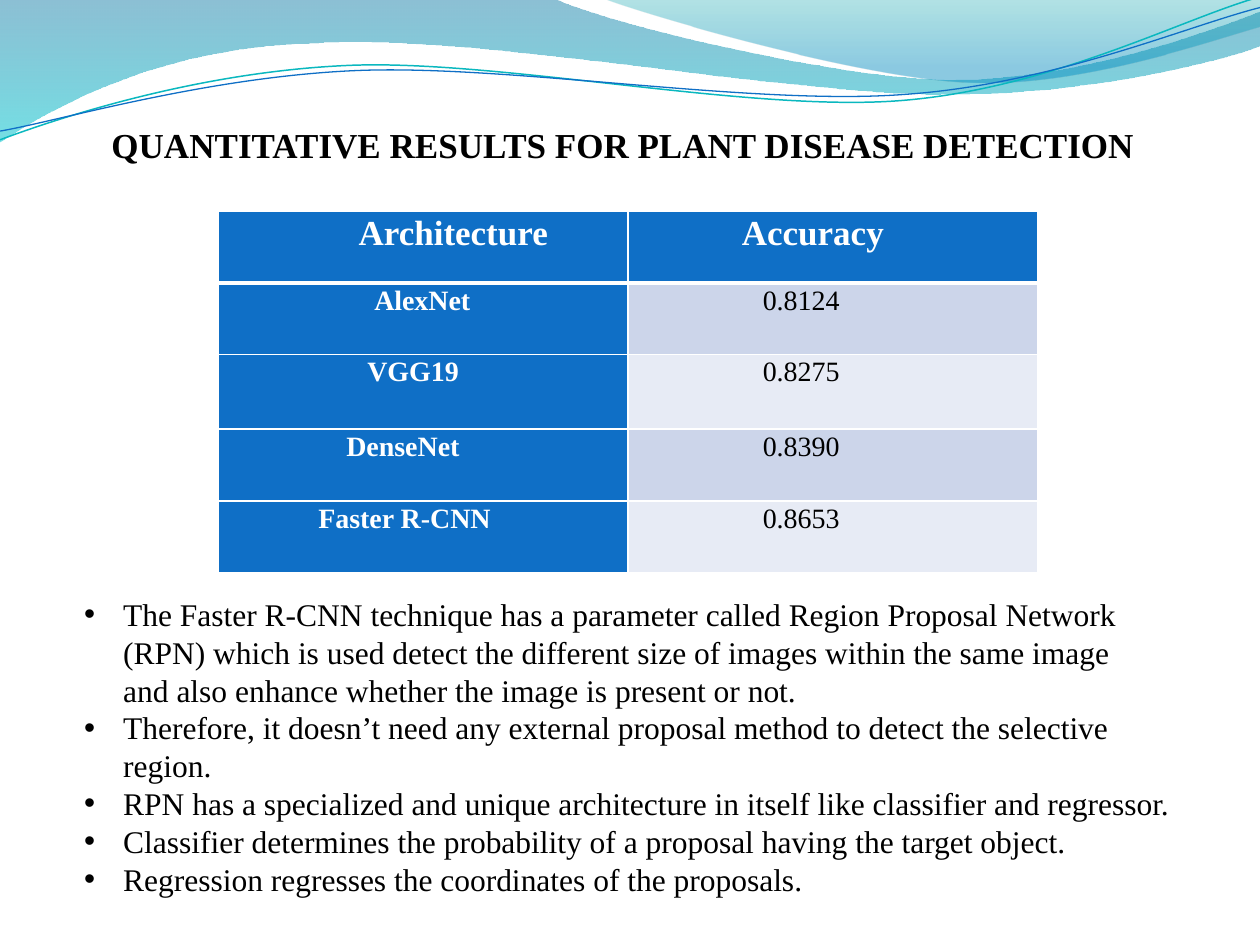
from dataclasses import dataclass

from lxml import etree
from pptx import Presentation
from pptx import util as u
from pptx.dml.color import RGBColor
from pptx.enum import text
from pptx.oxml.ns import qn


@dataclass(frozen=True)
class Theme:
    font: str = "Times New Roman"
    ink: str = "000000"
    paper: str = "FFFFFF"
    accent: str = "0F6FC6"
    teal: str = "0AB8BF"
    bands: tuple = ("CCD5EA", "E7EBF5")
    large_wave: tuple = ((0, "0074A1", 45), (1, "00C6CF", 55))
    small_wave: tuple = ((0, "00A1A9", 30), (0.8, "008BBF", 45))
    heading: int = 20
    body: int = 18
    cell: int = 16


LARGE_WAVE = [
    (0, 0), (316.8, -0.7),
    (342.7, 12.2, 478.1, 45.4, 545.8, 45.4),
    (614.2, 45.4, 689.8, 18.7, 720, 6.5),
    (720.7, 25.9),
    (707.8, 31.7, 626.4, 54.7, 537.1, 54),
    (447.8, 54, 275, 20.2, 185, 24.5),
    (92.9, 25.9, 33.1, 59.8, -0.7, 81.4),
]
SMALL_WAVE = [
    (344.9, -0.7),
    (366.5, 7.9, 491, 44.6, 553.7, 46.8),
    (616.3, 49.7, 691.9, 23, 720, 15.1),
    (720, 0),
]
TEAL_LINE = [
    (0, 79.9),
    (34.6, 67, 113.8, 41, 199.4, 37.4),
    (284.4, 33.8, 427, 64.1, 513.4, 57.6),
    (599.8, 51.1, 675.4, 10.8, 718.6, -1.4),
]
BLUE_LINE = [
    (0, 74.9),
    (33.8, 69.1, 118.1, 43.9, 203.8, 40.3),
    (290.2, 36.7, 429.8, 60.5, 516.2, 54),
    (601.9, 48.2, 677.5, 15.1, 720, 4.3),
]
RESULTS = [
    [("Architecture", 75), ("Accuracy", 60)],
    [("AlexNet", 84), ("0.8124", 72)],
    [("VGG19", 80), ("0.8275", 72)],
    [("DenseNet", 68), ("0.8390", 72)],
    [("Faster R-CNN", 52), ("0.8653", 72)],
]
FINDINGS = [
    "The Faster R-CNN technique has a parameter called Region Proposal Network\v"
    "(RPN) which is used detect the different size of images within the same image\v"
    "and also enhance whether the image is present or not.",
    "Therefore, it doesn’t need any external proposal method to detect the selective\vregion.",
    "RPN has a specialized and unique architecture in itself like classifier and regressor.",
    "Classifier determines the probability of a proposal having the target object.",
    "Regression regresses the coordinates of the proposals.",
]


class Deck:
    """Builds slide elements in one shared style."""

    def __init__(self, prs, theme):
        self.theme = theme
        self.s = prs.slides.add_slide(prs.slide_layouts[1])

    def outline(self, path, close):
        ends = [(u.Pt(segment[-2]), u.Pt(segment[-1])) for segment in path]
        builder = self.s.shapes.build_freeform(*ends[0])
        builder.add_line_segments(ends[1:], close=close)
        sp = builder.convert_to_shape()
        sp.shadow.inherit = False
        for node, segment in zip(list(sp._element.iter(qn("a:lnTo"))), path[1:]):
            if len(segment) == 6:
                self.bend(node, segment[:4], sp.left, sp.top)
        return sp

    def bend(self, node, controls, left, top):
        node.tag = qn("a:cubicBezTo")
        for i in (0, 2):
            pt = etree.Element(qn("a:pt"))
            pt.set("x", str(u.Pt(controls[i]) - left))
            pt.set("y", str(u.Pt(controls[i + 1]) - top))
            node.insert(i // 2, pt)

    def wave(self, path, stops):
        sp = self.outline(path, True)
        sp.line.fill.background()
        sp.fill.gradient()
        sp.fill.gradient_angle = 270
        for stop, (position, color, _) in zip(sp.fill.gradient_stops, stops):
            stop.position = position
            stop.color.rgb = RGBColor.from_string(color)
        for node, (_, _, opacity) in zip(sp._element.iter(qn("a:srgbClr")), stops):
            etree.SubElement(node, qn("a:alpha")).set("val", str(opacity * 1000))

    def curve(self, path, color, width):
        sp = self.outline(path, False)
        sp.fill.background()
        sp.line.color.rgb = RGBColor.from_string(color)
        sp.line.width = u.Pt(width)

    def style(self, p, size, color, bold=False, left=0, hanging=0):
        p.font.name, p.font.size, p.font.bold = self.theme.font, u.Pt(size), bold
        p.font.color.rgb = RGBColor.from_string(color)
        p.alignment = text.PP_ALIGN.LEFT
        p.space_before = u.Pt(0)
        pPr = p._p.get_or_add_pPr()
        pPr.set("marL", str(u.Pt(left)))
        pPr.set("indent", str(-u.Pt(hanging)))

    def place(self, sp, box):
        sp.left, sp.top, sp.width, sp.height = map(u.Pt, box)
        self.s.shapes._spTree.append(sp._element)
        tf = sp.text_frame
        tf.vertical_anchor = text.MSO_ANCHOR.TOP
        tf.auto_size = text.MSO_AUTO_SIZE.NONE
        tf.word_wrap = True
        return tf

    def title(self, wording, box):
        tf = self.place(self.s.shapes.title, box)
        tf.text = wording
        self.style(tf.paragraphs[0], self.theme.heading, self.theme.ink, bold=True)

    def bullets(self, items, box):
        tf = self.place(self.s.placeholders[1], box)
        tf.text = "\n".join(items)
        for p in tf.paragraphs:
            self.style(p, self.theme.body, self.theme.ink, left=22.3, hanging=22.3)

    def table(self, rows, box, heights):
        table = self.s.shapes.add_table(len(rows), len(rows[0]), *map(u.Pt, box)).table
        table.first_col = True
        for i, (row, height) in enumerate(zip(rows, heights)):
            table.rows[i].height = u.Pt(height)
            for j, (wording, left) in enumerate(row):
                self.cell(table.cell(i, j), wording, left, i, j)

    def cell(self, cell, wording, left, i, j):
        theme, key = self.theme, i == 0 or j == 0
        cell.margin_left = cell.margin_right = u.Pt(5)
        cell.margin_top = cell.margin_bottom = 0
        cell.fill.solid()
        fill = theme.accent if key else theme.bands[(i - 1) % 2]
        cell.fill.fore_color.rgb = RGBColor.from_string(fill)
        for n, side in enumerate("LRTB"):
            heavy = (i, side) in ((0, "B"), (1, "T"))
            self.border(cell, n, side, 3 if heavy else 1)
        cell.text = wording
        p = cell.text_frame.paragraphs[0]
        self.style(p, theme.cell if i else theme.heading,
                   theme.paper if key else theme.ink, bold=key, left=left)
        p.line_spacing = 1.07
        p.space_after = u.Pt(8)

    def border(self, cell, position, side, width):
        ln = etree.Element(qn(f"a:ln{side}"), w=str(u.Pt(width)))
        fill = etree.SubElement(ln, qn("a:solidFill"))
        etree.SubElement(fill, qn("a:srgbClr")).set("val", self.theme.paper)
        cell._tc.get_or_add_tcPr().insert(position, ln)


def main():
    prs = Presentation()
    prs.slide_width, prs.slide_height = u.Pt(720), u.Pt(540)
    theme = Theme()
    deck = Deck(prs, theme)
    deck.wave(LARGE_WAVE, theme.large_wave)
    deck.wave(SMALL_WAVE, theme.small_wave)
    deck.curve(TEAL_LINE, theme.teal, 0.85)
    deck.curve(BLUE_LINE, theme.accent, 0.75)
    deck.title("QUANTITATIVE RESULTS FOR PLANT DISEASE DETECTION", (56.5, 67, 605, 31.5))
    deck.table(RESULTS, (124.9, 120.7, 468, 206), (41, 41, 42.6, 41, 41))
    deck.bullets(FINDINGS, (40.9, 336.4, 641.5, 203.5))
    prs.save("out.pptx")


if __name__ == "__main__":
    main()
